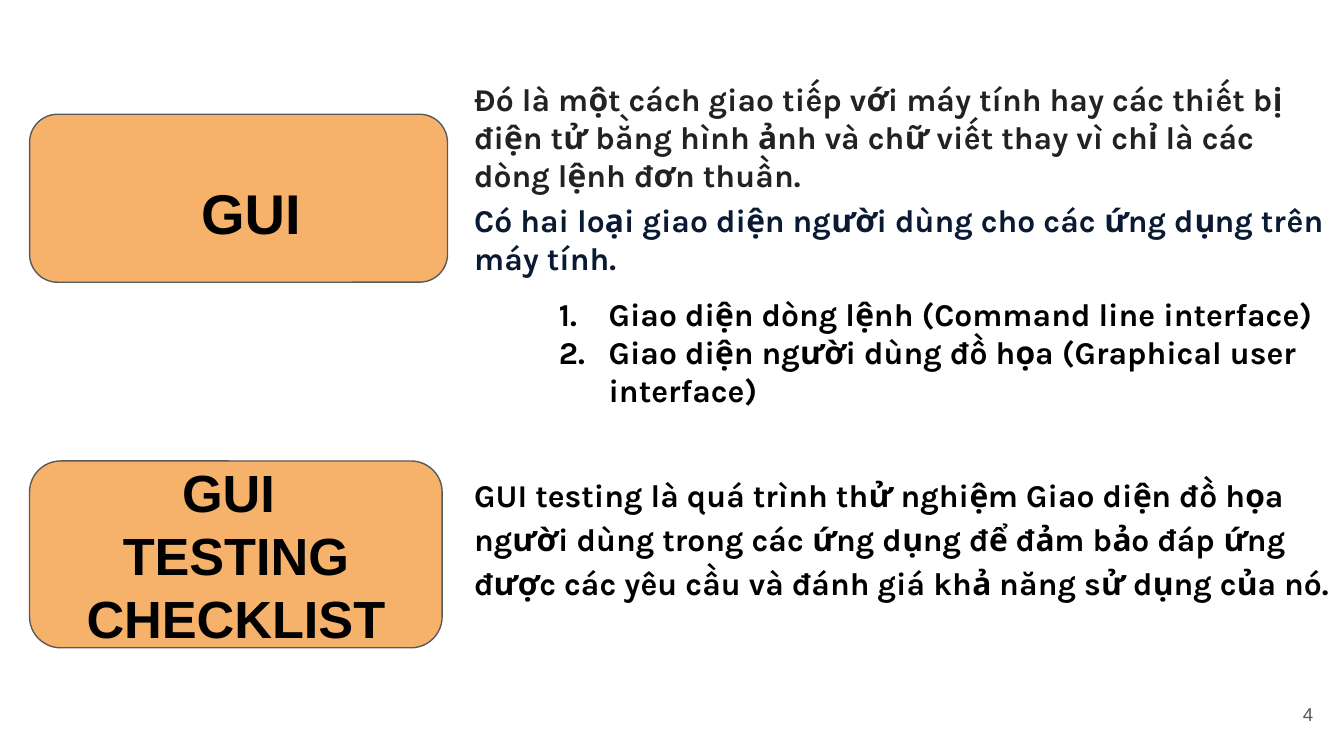
import pptx
import pptx.dml.color
import pptx.enum.shapes
import pptx.enum.text
import pptx.oxml
import pptx.oxml.ns
import pptx.util

Inches = pptx.util.Inches
Pt = pptx.util.Pt
ALIGN = pptx.enum.text.PP_ALIGN
ANCHOR = pptx.enum.text.MSO_ANCHOR


def color(hex_value):
    return pptx.dml.color.RGBColor.from_string(hex_value)


class DefinitionSlide:
    label_fill = "F6B26B"
    outline = "595959"
    ink = "000000"
    label_font = "Arial"
    body_font = "Karla"
    body_size = 17
    inset = 0.1

    def __init__(self, deck):
        self.slide = deck.slides.add_slide(deck.slide_layouts[6])

    def frame(self, shape, anchor):
        text_frame = shape.text_frame
        settings = {"word_wrap": True, "vertical_anchor": anchor}
        for side in ("left", "top", "right", "bottom"):
            settings[f"margin_{side}"] = Inches(self.inset)
        for name, value in settings.items():
            setattr(text_frame, name, value)
        return text_frame

    def paragraph(self, text_frame, runs, font, ink, bold=True, **layout):
        first = text_frame.paragraphs[0]
        paragraph = text_frame.add_paragraph() if first.runs else first
        for name, value in layout.items():
            setattr(paragraph, name, value)
        for text, size in runs:
            run = paragraph.add_run()
            run.text = text
            for name, value in {"name": font, "size": Pt(size), "bold": bold}.items():
                setattr(run.font, name, value)
            run.font.color.rgb = color(ink)
        return paragraph

    def label(self, box, lines):
        shape = self.slide.shapes.add_shape(
            pptx.enum.shapes.MSO_SHAPE.ROUNDED_RECTANGLE, *map(Inches, box))
        shape.shadow.inherit = False
        shape.fill.solid()
        shape.fill.fore_color.rgb = color(self.label_fill)
        shape.line.color.rgb = color(self.outline)
        shape.line.width = Pt(0.75)
        text_frame = self.frame(shape, ANCHOR.MIDDLE)
        for runs in lines:
            self.paragraph(text_frame, runs, self.label_font, self.ink,
                           alignment=ALIGN.CENTER)

    def text_box(self, box, anchor=ANCHOR.TOP):
        return self.frame(self.slide.shapes.add_textbox(*map(Inches, box)), anchor)

    def body(self, text_frame, text, ink=ink, **layout):
        return self.paragraph(text_frame, [(text, self.body_size)],
                              self.body_font, ink, **layout)

    def numbered(self, text_frame, text, **layout):
        properties = self.body(text_frame, text, **layout)._p.get_or_add_pPr()
        for name, value in {"marL": Inches(1), "indent": Inches(-0.37)}.items():
            properties.set(name, str(int(value)))
        namespace = pptx.oxml.ns.nsdecls("a")
        for bullet in (
            f'<a:buClr {namespace}><a:srgbClr val="{self.ink}"/></a:buClr>',
            f'<a:buFont {namespace} typeface="{self.body_font}"/>',
            f'<a:buAutoNum {namespace} type="arabicPeriod"/>',
        ):
            properties.append(pptx.oxml.parse_xml(bullet))

    def page_number(self, box, number):
        self.paragraph(self.text_box(box, ANCHOR.MIDDLE), [(number, 10)],
                       self.label_font, self.outline, bold=False,
                       alignment=ALIGN.RIGHT)


def main():
    deck = pptx.Presentation()
    deck.slide_width = Inches(10)
    deck.slide_height = Inches(10) * 9 // 16
    page = DefinitionSlide(deck)

    page.label((0.22, 3.43, 3.07, 1.39),
               [[("GUI ", 28)], [("TESTING CHECKLIST", 28)]])

    gui_definition = page.text_box((3.43, 0.49, 6.57, 1.99))
    page.body(gui_definition,
              "Đó là một cách giao tiếp với máy tính hay các thiết bị điện tử "
              "bằng hình ảnh và chữ viết thay vì chỉ là các dòng lệnh đơn thuần.",
              "222222", space_before=Pt(3.8))
    page.body(gui_definition,
              "Có hai loại giao diện người dùng cho các ứng dụng trên máy tính.",
              "0B1A33", space_before=Pt(3.8))
    page.numbered(gui_definition, "Giao diện dòng lệnh (Command line interface)",
                  space_before=Pt(9.7))
    page.numbered(gui_definition,
                  "Giao diện người dùng đồ họa (Graphical user interface)",
                  space_before=Pt(0))

    testing_definition = page.text_box((3.43, 3.4, 6.57, 1.62))
    page.body(testing_definition,
              "GUI testing là quá trình thử nghiệm Giao diện đồ họa người dùng "
              "trong các ứng dụng để đảm bảo đáp ứng được các yêu cầu và đánh giá "
              "khả năng sử dụng của nó.",
              line_spacing=1.15, space_after=Pt(10))

    page.label((0.22, 0.85, 3.11, 1.25), [[(" ", 48), ("GUI", 30)]])
    page.page_number((9.27, 5.1, 0.6, 0.43), "4")
    deck.save("out.pptx")


if __name__ == "__main__":
    main()
